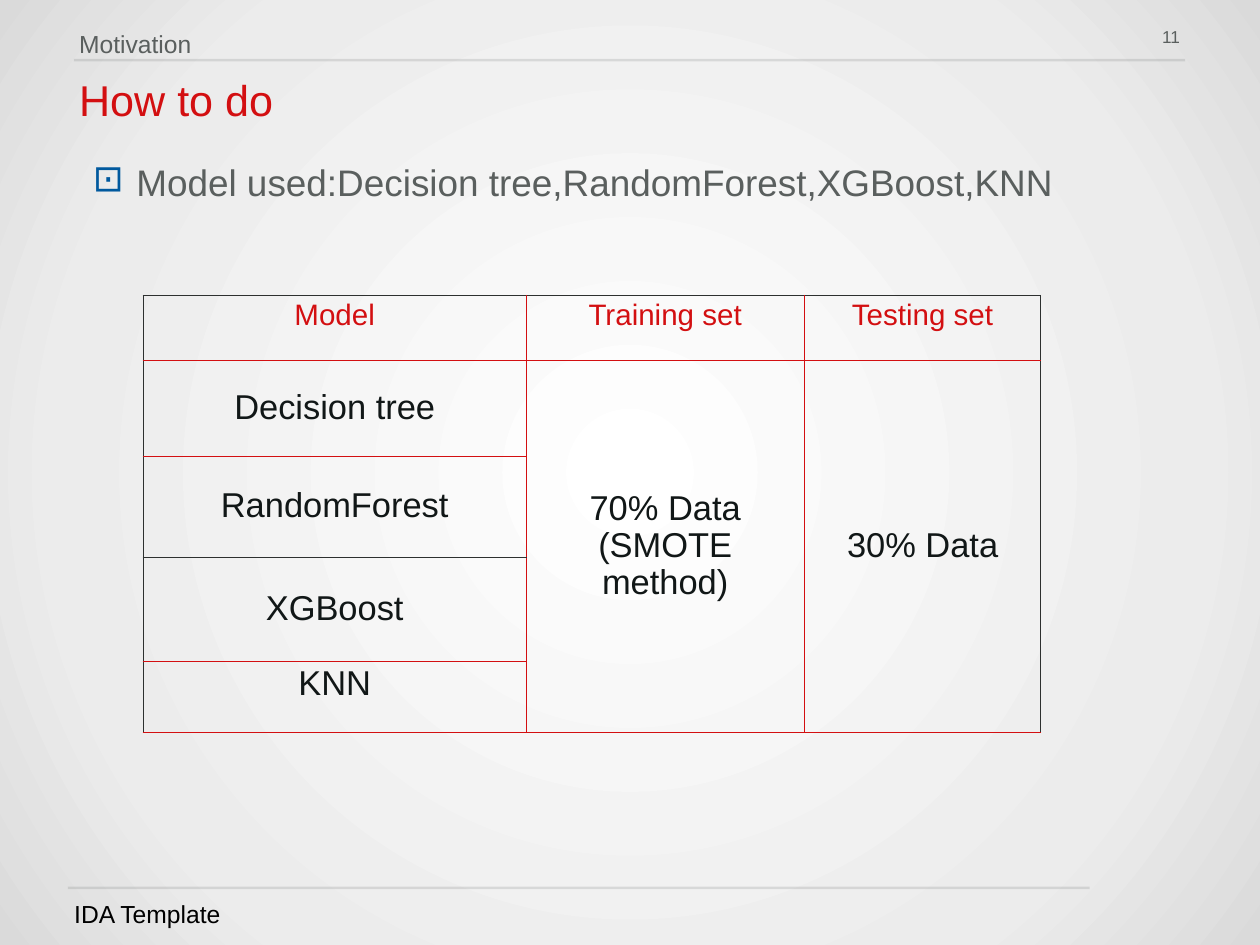
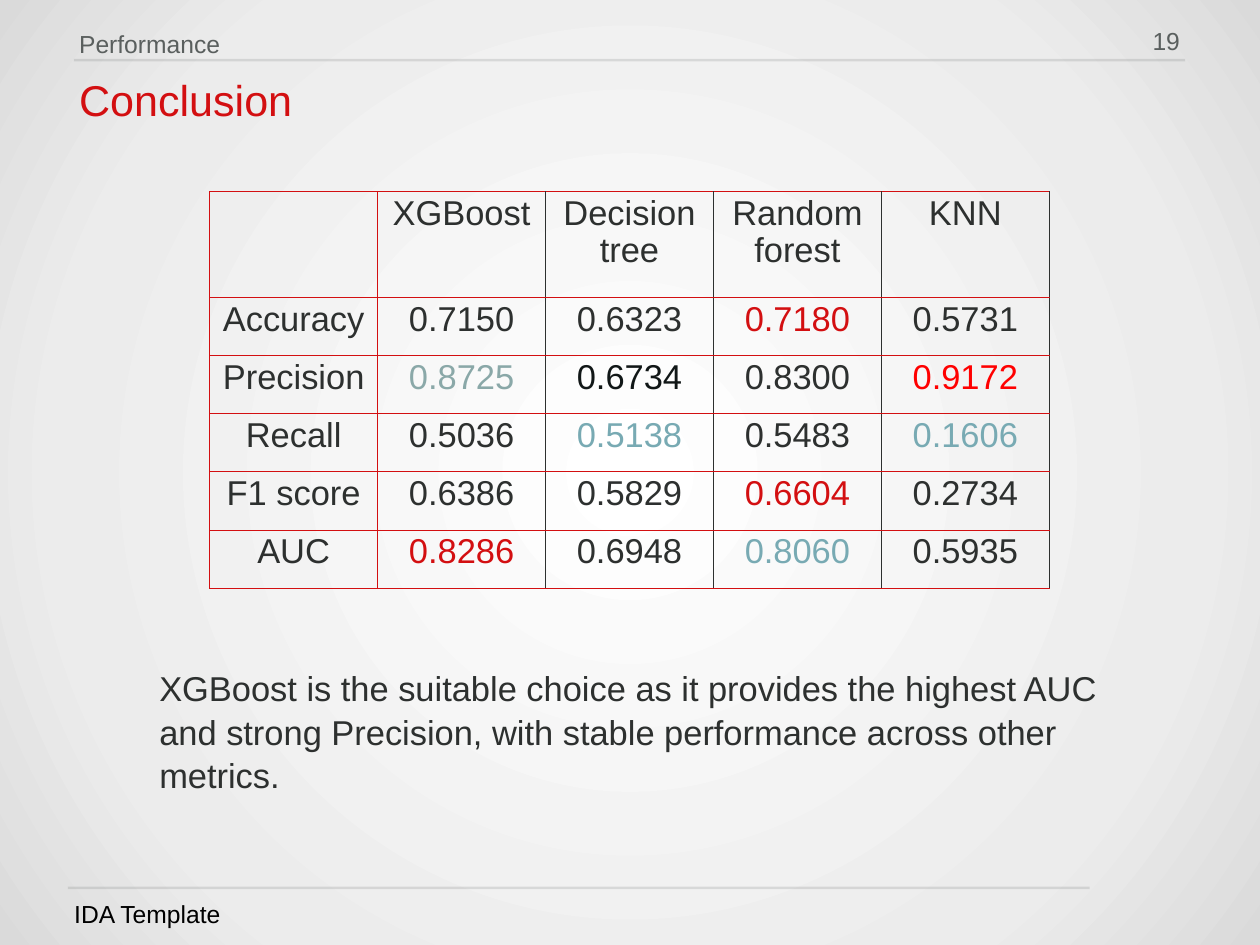
from pptx import Presentation
from pptx.dml.color import RGBColor
from pptx.enum.shapes import MSO_CONNECTOR
from pptx.enum.text import MSO_ANCHOR, PP_ALIGN
from pptx.oxml import parse_xml
from pptx.oxml.ns import nsdecls, qn
from pptx.util import Inches, Pt
from lxml.etree import SubElement

# The slide is a grid of 128 columns by 96 rows of square units
COLUMNS, ROWS = 128, 96
UNIT = Inches(1) / 9
FONT = "Arial"
RED, BRIGHT_RED, BLUE = "D30F11", "FF0000", "00599E"
GREY, DARK, INK, BLACK = "5A5F5E", "2D302F", "111717", "000000"
TEAL, SAGE = "78AAB3", "8AA8A8"
BACKGROUND = [(0, "FFFFFF"), (73, "ECECEC"), (100, "DADADA")]
INSET = Inches(0.06)


def units(*lengths):
    return [round(length * UNIT) for length in lengths]


def color(hex_code):
    return RGBColor.from_string(hex_code)


def add_run(paragraph, text, size, hue):
    run = paragraph.add_run()
    run.text = text
    run.font.name = FONT
    run.font.size = Pt(size)
    run.font.color.rgb = color(hue)


def add_text(slide, box, text, size, hue, align=PP_ALIGN.LEFT,
             anchor=MSO_ANCHOR.TOP, spacing=1.0, inset=INSET):
    frame = slide.shapes.add_textbox(*units(*box)).text_frame
    frame.word_wrap = True
    frame.vertical_anchor = anchor
    frame.margin_left = frame.margin_right = inset
    frame.margin_top = frame.margin_bottom = INSET
    paragraph = frame.paragraphs[0]
    paragraph.alignment = align
    paragraph.line_spacing = spacing
    add_run(paragraph, text, size, hue)
    return paragraph


def add_rule(slide, left, right, row):
    rule = slide.shapes.add_connector(
        MSO_CONNECTOR.STRAIGHT, *units(left, row, right, row))
    rule.line.width = Pt(2)
    rule.line.color.rgb = color(GREY)
    properties = rule._element.spPr
    tint = properties.find(".//" + qn("a:srgbClr"))
    SubElement(tint, qn("a:alpha"), val="16000")
    SubElement(properties, qn("a:effectLst"))


def set_background(master):
    """Radial gradient that every slide inherits."""
    fill = master.background.fill
    fill.gradient()
    stops = "".join(
        f'<a:gs pos="{pos * 1000}"><a:srgbClr val="{hue}"/></a:gs>'
        for pos, hue in BACKGROUND)
    gradient = parse_xml(
        f'<a:gradFill {nsdecls("a")} rotWithShape="1"><a:gsLst>{stops}</a:gsLst>'
        '<a:path path="circle"><a:fillToRect l="50000" t="50000" '
        'r="50000" b="50000"/></a:path></a:gradFill>')
    old = master._element.find(".//" + qn("p:bgPr") + "/" + qn("a:gradFill"))
    old.getparent().replace(old, gradient)


def add_frame(prs, section, title, number, number_size):
    """Blank slide with section, page number, title and footer."""
    slide = prs.slides.add_slide(prs.slide_layouts[6])
    add_rule(slide, 7.5, 120.4, 6.1)
    add_rule(slide, 6.9, 110.7, 90.2)
    add_text(slide, (115.5, 2.1, 4.9, 4), number, number_size, GREY,
             align=PP_ALIGN.RIGHT)
    add_text(slide, (7.5, 2.35, 93.5, 4), section, 20, GREY)
    add_text(slide, (7.5, 7.5, 113, 6), title, 35, RED, spacing=0.9)
    add_text(slide, (7, 90.9, 54, 4), "IDA Template", 20, BLACK,
             anchor=MSO_ANCHOR.BOTTOM)
    return slide


def add_bullet(slide, box, text):
    paragraph = add_text(slide, box, text, 30, GREY, spacing=Pt(45))
    properties = paragraph._p.get_or_add_pPr()
    indent = Inches(0.49)
    properties.set("marL", str(indent))
    properties.set("indent", str(-indent))
    bullet_color = SubElement(properties, qn("a:buClr"))
    SubElement(bullet_color, qn("a:srgbClr"), val=BLUE)
    SubElement(properties, qn("a:buChar"), char="⊡")


def set_borders(cell, edges):
    """Draw the given sides; edges maps L, R, T and B to a colour."""
    properties = cell._tc.get_or_add_tcPr()
    for place, (side, hue) in enumerate(edges.items()):
        properties.insert(place, parse_xml(
            f'<a:ln{side} {nsdecls("a")} w="12700"><a:solidFill>'
            f'<a:srgbClr val="{hue}"/></a:solidFill></a:ln{side}>'))


def add_grid(slide, corner, widths, heights, texts, style, merges=(),
             dark_columns=(), dark_rows=()):
    """Table; style(row, column, text) gives size, colour and anchor.

    dark_columns and dark_rows number the grid lines drawn in grey.
    """
    box = units(*corner, sum(widths), sum(heights))
    table = slide.shapes.add_table(len(heights), len(widths), *box).table
    table.first_row = table.horz_banding = False
    for column, width in zip(table.columns, units(*widths)):
        column.width = width
    for row, height in zip(table.rows, units(*heights)):
        row.height = height
    for first, last in merges:
        table.cell(*first).merge(table.cell(*last))

    def line_color(index, dark_lines):
        return DARK if index in dark_lines else RED

    for r in range(len(heights)):
        for c in range(len(widths)):
            cell = table.cell(r, c)
            cell.fill.background()
            below = r + (cell.span_height if cell.is_merge_origin else 1)
            edges = {"L": line_color(c, dark_columns),
                     "R": line_color(c + 1, dark_columns)}
            if not cell.is_spanned:
                edges["T"] = line_color(r, dark_rows)
            if not cell.is_spanned or below == len(heights):
                edges["B"] = line_color(below, dark_rows)
            set_borders(cell, edges)
            if cell.is_spanned or not texts[r][c]:
                continue
            size, hue, anchor = style(r, c, texts[r][c])
            cell.vertical_anchor = anchor
            for index, line in enumerate(texts[r][c].split("\n")):
                frame = cell.text_frame
                paragraph = frame.add_paragraph() if index else frame.paragraphs[0]
                paragraph.alignment = PP_ALIGN.CENTER
                paragraph.line_spacing = 0.96
                add_run(paragraph, line, size, hue)


def build_models(prs):
    slide = add_frame(prs, "Motivation", "How to do", "11", 14)
    add_bullet(slide, (8.9, 14.6, 110, 6.1),
               "Model used:Decision tree,RandomForest,XGBoost,KNN")
    models = [
        ("Model", "Training set", "Testing set"),
        ("Decision tree", "70% Data\n(SMOTE method)", "30% Data"),
        ("RandomForest", "", ""),
        ("XGBoost", "", ""),
        ("KNN", "", ""),
    ]

    def style(row, column, text):
        if row == 0:
            return 24, RED, MSO_ANCHOR.TOP
        return 28, INK, MSO_ANCHOR.TOP if text == "KNN" else MSO_ANCHOR.MIDDLE

    add_grid(slide, (14.55, 30), (38.9, 28.25, 24.05),
             (6.6, 9.75, 10.25, 10.6, 7.2), models, style,
             merges=[((1, c), (4, c)) for c in (1, 2)],
             dark_columns=(0, 3), dark_rows=(0, 3))


def build_scores(prs):
    slide = add_frame(prs, "Performance", "Conclusion", "19", 20)
    scores = [
        ("", "XGBoost", "Decision tree", "Random forest", "KNN"),
        ("Accuracy", "0.7150", "0.6323", "0.7180", "0.5731"),
        ("Precision", "0.8725", "0.6734", "0.8300", "0.9172"),
        ("Recall", "0.5036", "0.5138", "0.5483", "0.1606"),
        ("F1 score", "0.6386", "0.5829", "0.6604", "0.2734"),
        ("AUC", "0.8286", "0.6948", "0.8060", "0.5935"),
    ]
    highlights = {
        (1, 3): RED, (4, 3): RED, (5, 1): RED, (2, 4): BRIGHT_RED,
        (2, 1): SAGE, (2, 2): INK,
        (3, 2): TEAL, (3, 4): TEAL, (5, 3): TEAL,
    }

    def style(row, column, text):
        return 28, highlights.get((row, column), DARK), MSO_ANCHOR.TOP

    add_grid(slide, (21.3, 19.5), [17.06] * 5, [10.75] + [5.9] * 5,
             scores, style, dark_columns=(2, 3, 4, 5))
    add_text(slide, (15.3, 67.05, 97.3, 13.6),
             "XGBoost is the suitable choice as it provides the highest AUC "
             "and strong Precision, with stable performance across other "
             "metrics.", 28, DARK, spacing=1.05, inset=Inches(0.1))


def main():
    prs = Presentation()
    prs.slide_width, prs.slide_height = units(COLUMNS, ROWS)
    set_background(prs.slide_master)
    build_models(prs)
    build_scores(prs)
    prs.save("out.pptx")


if __name__ == "__main__":
    main()
